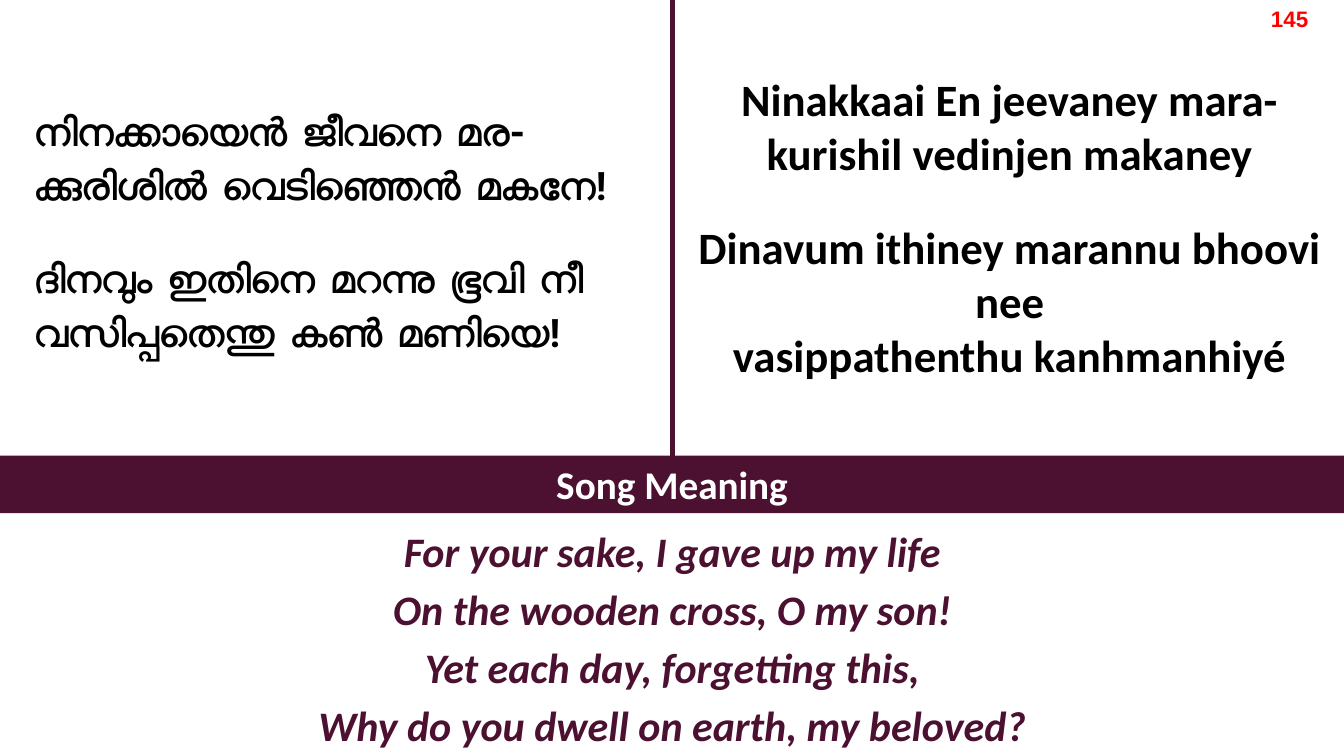
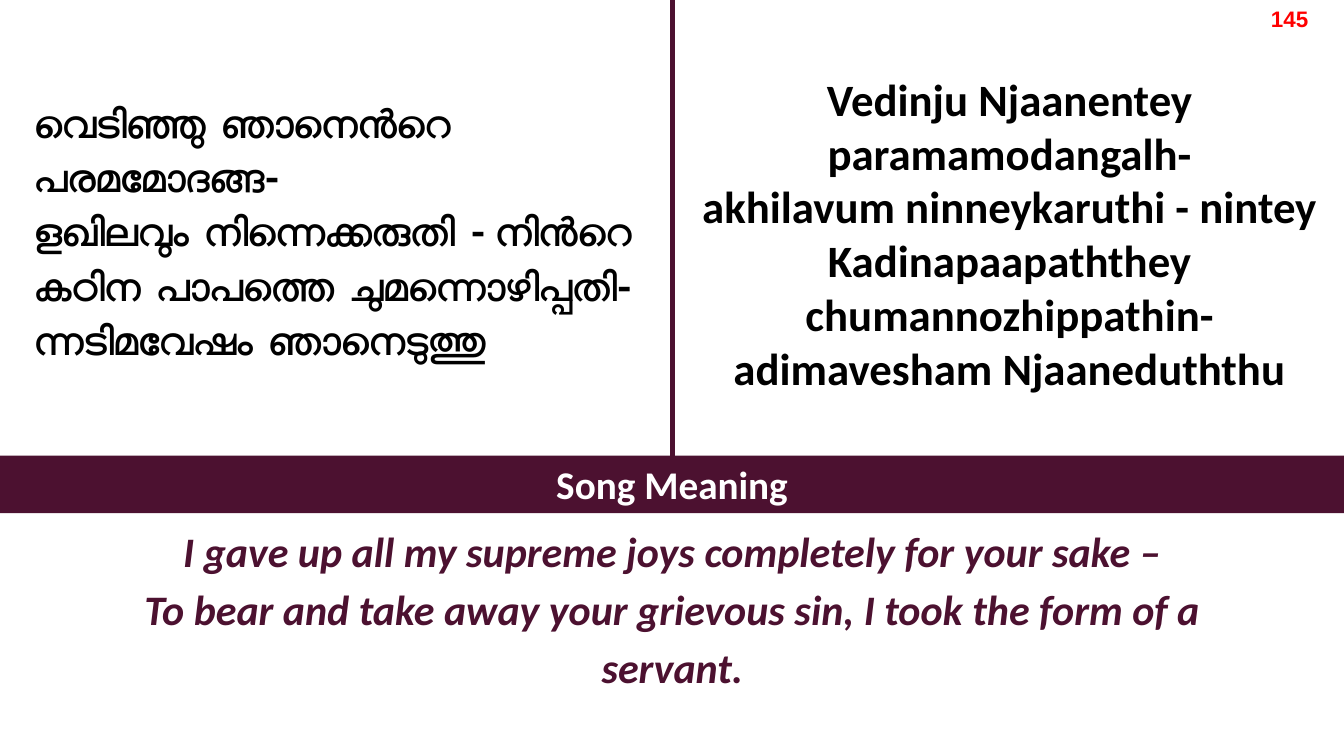
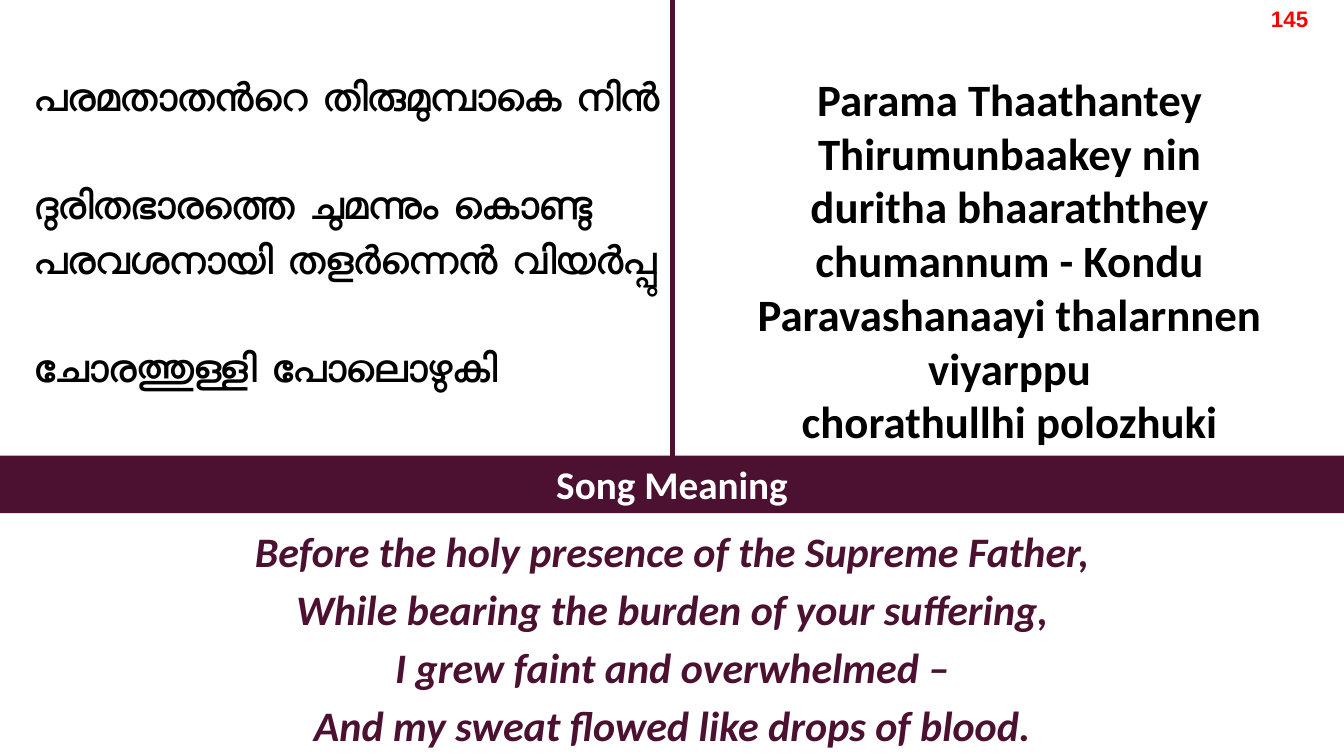
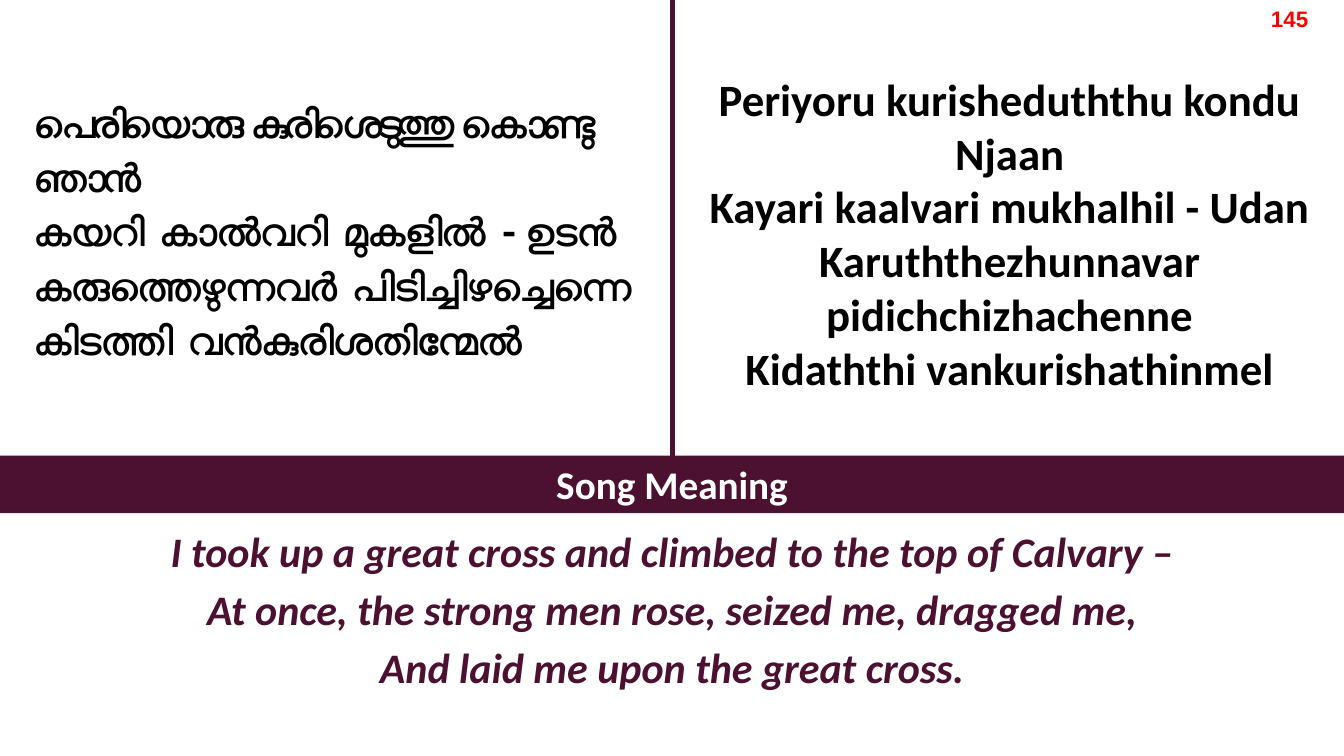
from dataclasses import dataclass

from lxml import etree
from pptx import Presentation
from pptx import util as u
from pptx.dml.color import RGBColor
from pptx.enum import shapes, text
from pptx.oxml import ns

COLORS = {"plum": "4C1130", "black": "000000", "white": "FFFFFF", "red": "FF0000"}

# Text styles shared by all slides
STYLES = {
    "malayalam": {"name": "Roboto", "size": u.Pt(28), "bold": True},
    "lyrics": {"name": "Calibri", "size": u.Pt(32), "bold": True},
    "meaning": {"name": "Calibri", "size": u.Pt(30), "bold": True, "italic": True},
    "band": {"name": "Calibri", "size": u.Pt(28), "bold": True},
    "number": {"name": "Arial", "size": u.Pt(16), "bold": True},
}

SLIDE_W, SLIDE_H = 13.33, 7.5
BAND_TOP, BAND_H = 4.52, 0.57
MIDDLE = 6.67
SONG_NUMBER = "145"


@dataclass(frozen=True)
class Line:
    text: str
    before: float = 0  # points of space above
    tracking: float = 0  # points between letters


@dataclass(frozen=True)
class Box:
    left: float
    top: float
    width: float
    height: float

    def emu(self) -> tuple:
        return tuple(u.Inches(v) for v in (self.left, self.top, self.width, self.height))


@dataclass(frozen=True)
class Verse:
    malayalam: tuple
    lyrics: tuple
    meaning: tuple
    lyrics_h: float
    meaning_h: float


VERSES = [
    Verse(
        (Line("നിനക്കായെൻ ജീവനെ മര-ക്കുരിശിൽ വെടിഞ്ഞെൻ മകനേ!"),
         Line("ദിനവും ഇതിനെ മറന്നു ഭൂവി നീ", before=28),
         Line("വസിപ്പതെന്തു കൺ മണിയെ!")),
        (Line("Ninakkaai En jeevaney mara-"),
         Line("kurishil vedinjen makaney"),
         Line("Dinavum ithiney marannu bhoovi nee", before=29),
         Line("vasippathenthu kanhmanhiyé")),
        (Line("For your sake, I gave up my life"),
         Line("On the wooden cross, O my son!"),
         Line("Yet each day, forgetting this,"),
         Line("Why do you dwell on earth, my beloved?")),
        3.22, 2.42),
    Verse(
        (Line("വെടിഞ്ഞു ഞാനെൻറെ പരമമോദങ്ങ-"),
         Line("ളഖിലവും നിന്നെക്കരുതി - നിൻറെ"),
         Line("കഠിന പാപത്തെ ചുമന്നൊഴിപ്പതി-"),
         Line("ന്നടിമവേഷം ഞാനെടുത്തു")),
        (Line("Vedinju Njaanentey paramamodangalh-"),
         Line("akhilavum ninneykaruthi - nintey"),
         Line("Kadinapaapaththey chumannozhippathin-"),
         Line("adimavesham Njaaneduththu")),
        (Line("I gave up all my supreme joys completely for your sake –"),
         Line("To bear and take away your grievous sin, I took the form of a servant.")),
        3.35, 1.84),
    Verse(
        (Line("പരമതാതൻറെ തിരുമുമ്പാകെ നിൻ"),
         Line("ദുരിതഭാരത്തെ ചുമന്നും കൊണ്ടു", before=39),
         Line("പരവശനായി തളർന്നെൻ വിയർപ്പു"),
         Line("ചോരത്തുള്ളി പോലൊഴുകി", before=39)),
        (Line("Parama Thaathantey Thirumunbaakey nin"),
         Line("duritha bhaaraththey chumannum - Kondu"),
         Line("Paravashanaayi thalarnnen viyarppu"),
         Line("chorathullhi polozhuki")),
        (Line("Before the holy presence of the Supreme Father,"),
         Line("While bearing the burden of your suffering,"),
         Line("I grew faint and overwhelmed –"),
         Line("And my sweat flowed like drops of blood.")),
        3.89, 2.42),
    Verse(
        (Line("പെരിയൊരു കുരിശെടുത്തു കൊണ്ടു ഞാൻ", tracking=-3),
         Line("കയറി കാൽവറി മുകളിൽ - ഉടൻ"),
         Line("കരുത്തെഴുന്നവർ പിടിച്ചിഴച്ചെന്നെ"),
         Line("കിടത്തി വൻകുരിശതിന്മേൽ")),
        (Line("Periyoru kurisheduththu kondu Njaan"),
         Line("Kayari kaalvari mukhalhil - Udan"),
         Line("Karuththezhunnavar pidichchizhachenne"),
         Line("Kidaththi vankurishathinmel")),
        (Line("I took up a great cross and climbed to the top of Calvary –"),
         Line("At once, the strong men rose, seized me, dragged me,"),
         Line("And laid me upon the great cross.")),
        3.35, 1.84),
]


def rgb(color: str) -> RGBColor:
    return RGBColor.from_string(COLORS[color])


def write(sp, lines: tuple, style: str, color: str, *, centered: bool = True,
          spacing: float = 1.0, inset: tuple = (0.1, 0.05), grow: bool = True,
          anchor=text.MSO_ANCHOR.TOP) -> None:
    """Fill a shape with one paragraph per line."""
    tf = sp.text_frame
    across, down = (u.Inches(v) for v in inset)
    frame = {
        "word_wrap": True, "vertical_anchor": anchor,
        "auto_size": text.MSO_AUTO_SIZE.SHAPE_TO_FIT_TEXT if grow else text.MSO_AUTO_SIZE.NONE,
        "margin_left": across, "margin_right": across,
        "margin_top": down, "margin_bottom": down,
    }
    for key, value in frame.items():
        setattr(tf, key, value)
    for i, line in enumerate(lines):
        p = tf.add_paragraph() if i else tf.paragraphs[0]
        p.alignment = text.PP_ALIGN.CENTER if centered else text.PP_ALIGN.LEFT
        p.line_spacing = spacing
        p.space_before = u.Pt(line.before)
        r = p.add_run()
        r.text = line.text
        for key, value in STYLES[style].items():
            setattr(r.font, key, value)
        r.font.color.rgb = rgb(color)
        if line.tracking:
            r.font._element.set("spc", str(round(line.tracking * 100)))


def add_text(s, box: Box, lines: tuple, style: str, color: str, **layout) -> None:
    write(s.shapes.add_textbox(*box.emu()), lines, style, color, **layout)


def add_title(s, lines: tuple) -> None:
    sp = s.shapes.title
    sp.left, sp.top, sp.width, sp.height = Box(0.24, 0.14, 6.42, 4.24).emu()
    write(sp, lines, "malayalam", "black", centered=False, spacing=1.15,
          grow=False, anchor=text.MSO_ANCHOR.MIDDLE)


def add_frame(s) -> None:
    """Draw the band, the divider and the song number."""
    sp = s.shapes.add_shape(shapes.MSO_SHAPE.RECTANGLE,
                            *Box(0, BAND_TOP, SLIDE_W, BAND_H).emu())
    sp.shadow.inherit = False
    sp.fill.solid()
    sp.fill.fore_color.rgb = rgb("plum")
    sp.line.fill.background()
    write(sp, (Line("Song Meaning"),), "band", "white")

    divider = s.shapes.add_connector(shapes.MSO_CONNECTOR.STRAIGHT, u.Inches(MIDDLE), 0,
                                     u.Inches(MIDDLE), u.Inches(BAND_TOP))
    divider.line.color.rgb = rgb("plum")
    divider.line.width = u.Pt(3)
    etree.SubElement(divider._element.spPr, ns.qn("a:effectLst"))

    add_text(s, Box(12.25, 0, 1.08, 0.37), (Line(SONG_NUMBER),), "number", "red")


def add_verse(prs, verse: Verse) -> None:
    s = prs.slides.add_slide(prs.slide_layouts.get_by_name("Title Only"))
    add_title(s, verse.malayalam)
    add_text(s, Box(6.75, 0.65, 6.53, verse.lyrics_h), verse.lyrics,
             "lyrics", "black", inset=(0.12, 0.06))
    add_text(s, Box(0.92, BAND_TOP + BAND_H, 11.5, verse.meaning_h), verse.meaning,
             "meaning", "plum", spacing=1.15)
    add_frame(s)


def main() -> None:
    prs = Presentation()
    prs.slide_width, prs.slide_height = u.Inches(SLIDE_W), u.Inches(SLIDE_H)
    for verse in VERSES:
        add_verse(prs, verse)
    prs.save("out.pptx")


if __name__ == "__main__":
    main()
